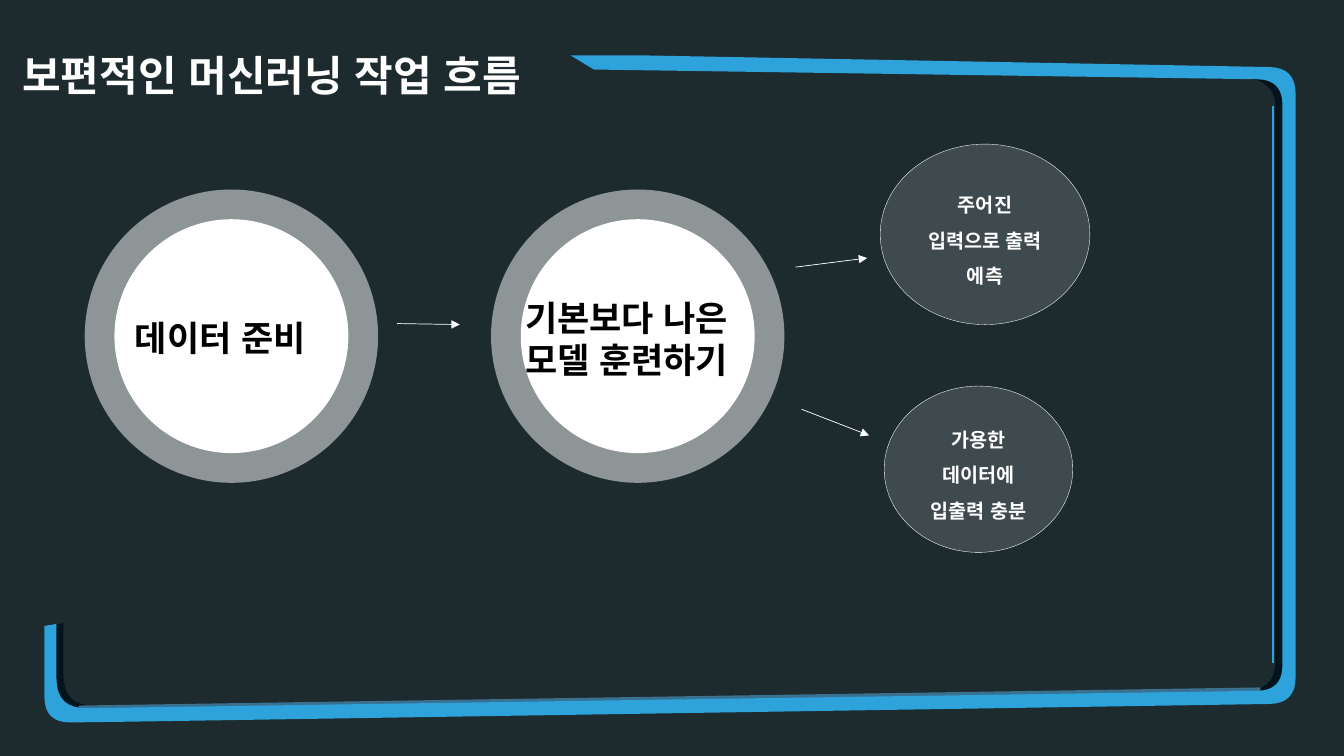
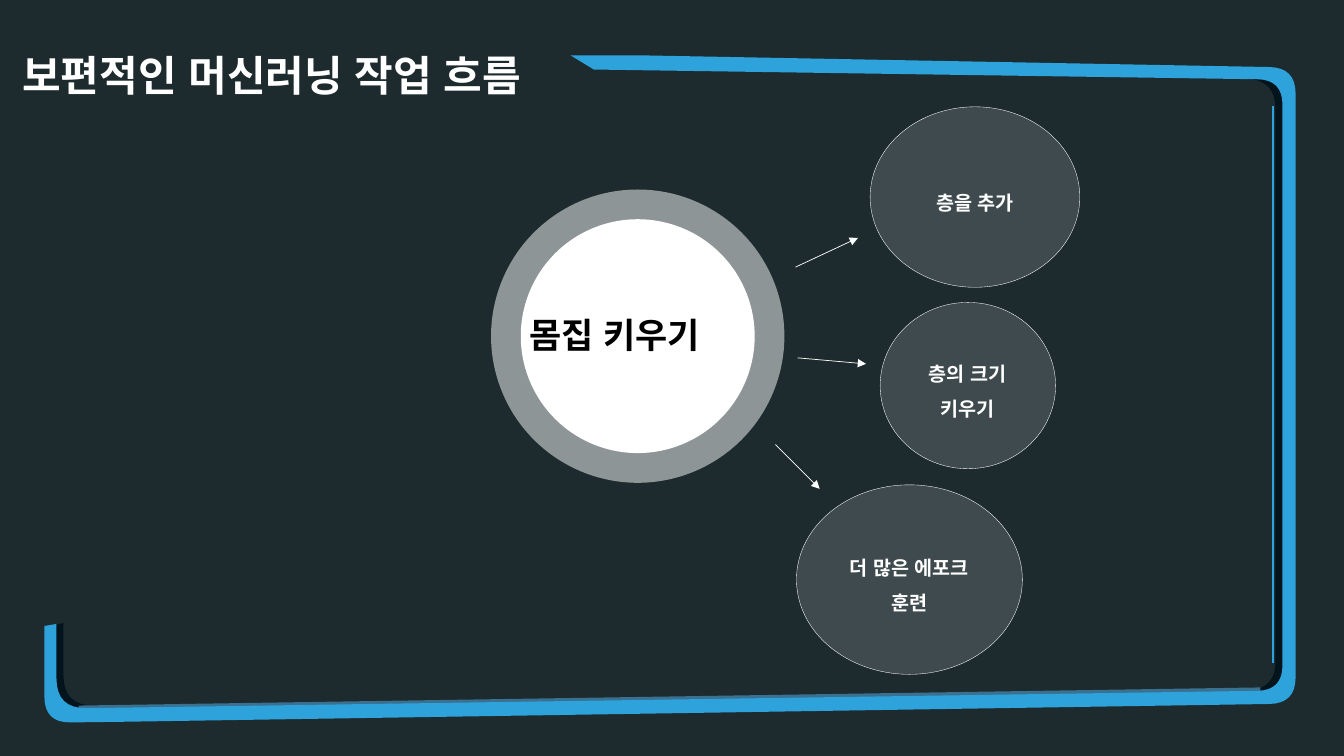
from dataclasses import dataclass

from lxml.etree import SubElement
from pptx import Presentation
from pptx.dml.color import RGBColor
from pptx.enum.lang import MSO_LANGUAGE_ID
from pptx.enum.shapes import MSO_CONNECTOR, MSO_SHAPE
from pptx.enum.text import MSO_ANCHOR, MSO_AUTO_SIZE, PP_ALIGN
from pptx.oxml.ns import qn
from pptx.shapes.autoshape import Shape
from pptx.slide import Slide
from pptx.text.text import TextFrame
from pptx.util import Inches, Pt

COLORS = {
    "background": "1D2B2E",
    "frame": "2DA2DB",
    "frame_edge": "3A7090",
    "frame_shade": "04141C",
    "light": "FFFFFF",
    "dark": "000000",
}
FONT = "Noto Sans CJK KR"
TITLE = "보편적인 머신러닝 작업 흐름"
RING_SIZE = 2.91
DISC_SIZE = 2.32
RING_TOP = 1.88
CURVE_STEPS = 8


@dataclass(frozen=True)
class Corner:
    x: float
    y: float
    radius: float = 0


@dataclass(frozen=True)
class FramePart:
    color: str
    corners: tuple[Corner, ...]


@dataclass(frozen=True)
class Stage:
    text: str
    ring_left: float
    label_left: float
    label_top: float
    label_width: float
    label_height: float


@dataclass(frozen=True)
class Detail:
    text: str
    left: float
    top: float
    width: float
    height: float


@dataclass(frozen=True)
class Arrow:
    x1: float
    y1: float
    x2: float
    y2: float


@dataclass(frozen=True)
class Workflow:
    stages: tuple[Stage, ...]
    arrows: tuple[Arrow, ...]
    details: tuple[Detail, ...]


FRAME = (
    FramePart("frame_shade", (
        Corner(0.55, 6.2), Corner(0.63, 6.18), Corner(0.63, 7, 0.3),
        Corner(0.95, 7), Corner(0.95, 7.06), Corner(0.55, 7.06),
    )),
    FramePart("frame_shade", (
        Corner(12.4, 0.78), Corner(12.75, 0.78), Corner(12.75, 6.88),
        Corner(12.4, 6.85), Corner(12.65, 6.82, 0.25), Corner(12.65, 0.82, 0.25),
    )),
    FramePart("frame_edge", (
        Corner(0.78, 7), Corner(12.5, 6.82), Corner(12.5, 6.88), Corner(0.78, 7.06),
    )),
    FramePart("frame", (
        Corner(12.62, 1.05), Corner(12.64, 1.05), Corner(12.64, 6.58), Corner(12.62, 6.58),
    )),
    FramePart("frame", (
        Corner(5.66, 0.55), Corner(6.41, 0.55), Corner(12.85, 0.67, 0.26),
        Corner(12.85, 6.98, 0.26), Corner(1.26, 7.16), Corner(0.44, 7.17, 0.26),
        Corner(0.44, 6.21), Corner(0.56, 6.19), Corner(0.56, 7.03, 0.3),
        Corner(12.72, 6.85, 0.25), Corner(12.72, 0.79, 0.25), Corner(5.89, 0.69),
    )),
)

WORKFLOWS = (
    Workflow(
        stages=(
            Stage("데이터 준비", 0.84, 1.24, 3.09, 2.71, 0.52),
            Stage("기본보다 나은 모델 훈련하기", 4.87, 5.11, 2.89, 2.56, 0.94),
        ),
        arrows=(
            Arrow(3.94, 3.21, 4.56, 3.22),
            Arrow(7.89, 2.65, 8.6, 2.56),
            Arrow(7.95, 4.06, 8.62, 4.32),
        ),
        details=(
            Detail("주어진 입력으로 출력 에측", 8.73, 1.43, 2.08, 1.79),
            Detail("가용한 데이터에 입출력 충분", 8.77, 3.83, 1.87, 1.65),
        ),
    ),
    Workflow(
        stages=(Stage("몸집 키우기", 4.87, 5.15, 3.06, 2.56, 0.52),),
        arrows=(
            Arrow(7.89, 2.65, 8.51, 2.36),
            Arrow(7.91, 3.55, 8.59, 3.61),
            Arrow(7.69, 4.41, 8.13, 4.85),
        ),
        details=(
            Detail("층을 추가", 8.63, 1.06, 2.08, 1.79),
            Detail("층의 크기 키우기", 8.73, 3, 1.74, 1.65),
            Detail("더 많은 에포크 훈련", 7.9, 4.81, 2.24, 1.88),
        ),
    ),
)


def color(name: str) -> RGBColor:
    return RGBColor.from_string(COLORS[name])


def write(
    frame: TextFrame,
    text: str,
    size: float,
    ink: str,
    align: PP_ALIGN = PP_ALIGN.LEFT,
    spacing: float = 1,
) -> None:
    frame.text = text
    frame.word_wrap = True
    paragraph = frame.paragraphs[0]
    paragraph.alignment = align
    paragraph.line_spacing = spacing
    run = paragraph.runs[0]
    run.font.name = FONT
    run.font.size = Pt(size)
    run.font.bold = True
    run.font.color.rgb = color(ink)
    run.font.language_id = MSO_LANGUAGE_ID.KOREAN
    SubElement(run.font._element, qn("a:ea"), typeface=FONT)


def paint(shape: Shape, fill: str, opacity: int = 100) -> None:
    shape.shadow.inherit = False
    shape.fill.solid()
    shape.fill.fore_color.rgb = color(fill)
    shape.line.fill.background()
    if opacity < 100:
        tint = shape._element.spPr.find(qn("a:solidFill")).find(qn("a:srgbClr"))
        SubElement(tint, qn("a:alpha"), val=str(opacity * 1000))


def add_ellipse(
    slide: Slide, left: float, top: float, width: float, height: float, opacity: int = 100
) -> Shape:
    ellipse = slide.shapes.add_shape(
        MSO_SHAPE.OVAL, Inches(left), Inches(top), Inches(width), Inches(height)
    )
    paint(ellipse, "light", opacity)
    return ellipse


def toward(start: Corner, end: Corner, distance: float) -> tuple[float, float]:
    length = ((end.x - start.x) ** 2 + (end.y - start.y) ** 2) ** 0.5
    share = distance / length
    return start.x + (end.x - start.x) * share, start.y + (end.y - start.y) * share


def outline(corners: tuple[Corner, ...]) -> list[tuple[float, float]]:
    points = []
    for index, corner in enumerate(corners):
        if not corner.radius:
            points.append((corner.x, corner.y))
            continue
        x1, y1 = toward(corner, corners[index - 1], corner.radius)
        x2, y2 = toward(corner, corners[(index + 1) % len(corners)], corner.radius)
        for step in range(CURVE_STEPS + 1):
            t = step / CURVE_STEPS
            a, b, c = (1 - t) ** 2, 2 * t * (1 - t), t**2
            points.append((a * x1 + b * corner.x + c * x2, a * y1 + b * corner.y + c * y2))
    return points


def draw_frame(slide: Slide) -> None:
    for part in FRAME:
        points = [(Inches(x), Inches(y)) for x, y in outline(part.corners)]
        builder = slide.shapes.build_freeform(*points[0])
        builder.add_line_segments(points[1:], close=True)
        paint(builder.convert_to_shape(), part.color)


def draw_title(slide: Slide) -> None:
    title = slide.shapes.title
    title.left, title.top = Inches(0.12), Inches(0.19)
    title.width, title.height = Inches(7.07), Inches(0.76)
    write(title.text_frame, TITLE, 30, "light", spacing=1.5)
    title.text_frame.vertical_anchor = MSO_ANCHOR.TOP
    title.text_frame.auto_size = MSO_AUTO_SIZE.SHAPE_TO_FIT_TEXT


def draw_stage(slide: Slide, stage: Stage) -> None:
    inset = (RING_SIZE - DISC_SIZE) / 2
    add_ellipse(slide, stage.ring_left, RING_TOP, RING_SIZE, RING_SIZE, 50)
    add_ellipse(slide, stage.ring_left + inset, RING_TOP + inset, DISC_SIZE, DISC_SIZE)
    label = slide.shapes.add_textbox(
        Inches(stage.label_left), Inches(stage.label_top),
        Inches(stage.label_width), Inches(stage.label_height),
    )
    write(label.text_frame, stage.text, 25, "dark")
    label.text_frame.auto_size = MSO_AUTO_SIZE.SHAPE_TO_FIT_TEXT


def draw_arrow(slide: Slide, arrow: Arrow) -> None:
    connector = slide.shapes.add_connector(
        MSO_CONNECTOR.STRAIGHT,
        Inches(arrow.x1), Inches(arrow.y1), Inches(arrow.x2), Inches(arrow.y2),
    )
    connector.line.color.rgb = color("light")
    connector.line.width = Pt(0.5)
    SubElement(connector.line._get_or_add_ln(), qn("a:tailEnd"), type="triangle")
    SubElement(connector._element.spPr, qn("a:effectLst"))


def draw_detail(slide: Slide, detail: Detail) -> None:
    bubble = add_ellipse(slide, detail.left, detail.top, detail.width, detail.height, 15)
    bubble.line.color.rgb = color("light")
    bubble.line.width = Pt(0.25)
    write(bubble.text_frame, detail.text, 14, "light", PP_ALIGN.CENTER, 1.5)
    bubble.text_frame.vertical_anchor = MSO_ANCHOR.MIDDLE


def main() -> None:
    deck = Presentation()
    deck.slide_width, deck.slide_height = Inches(13.33), Inches(7.5)
    backdrop = deck.slide_master.background.fill
    backdrop.solid()
    backdrop.fore_color.rgb = color("background")
    for workflow in WORKFLOWS:
        slide = deck.slides.add_slide(deck.slide_layouts[5])
        draw_frame(slide)
        draw_title(slide)
        for stage in workflow.stages:
            draw_stage(slide, stage)
        for arrow in workflow.arrows:
            draw_arrow(slide, arrow)
        for detail in workflow.details:
            draw_detail(slide, detail)
    deck.save("out.pptx")


if __name__ == "__main__":
    main()
